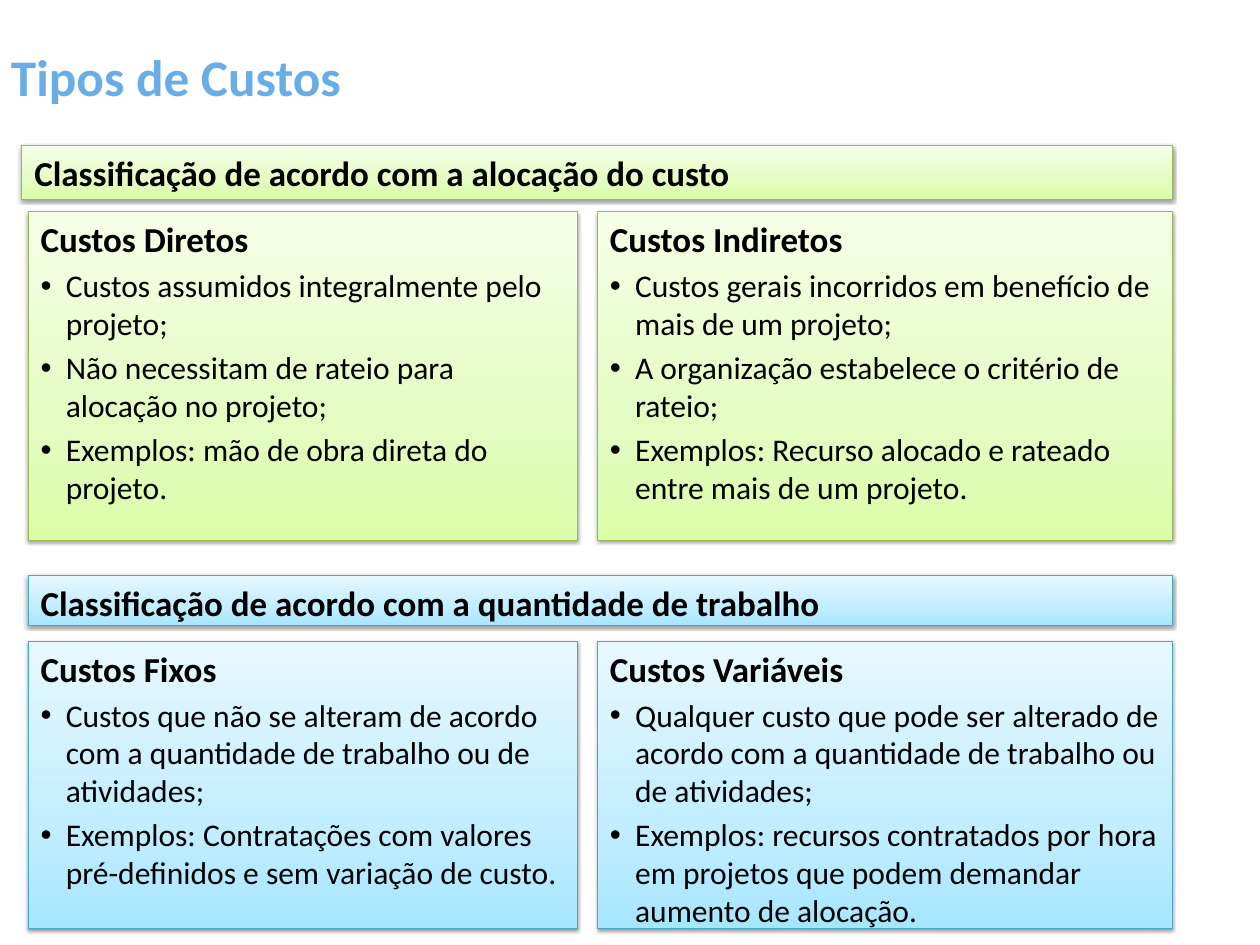
"""Build the slide that classifies project costs."""
from copy import deepcopy
from dataclasses import dataclass

from lxml import etree
from pptx import Presentation
from pptx.dml.color import RGBColor
from pptx.enum.shapes import MSO_SHAPE
from pptx.enum.text import MSO_ANCHOR, MSO_AUTO_SIZE, PP_ALIGN
from pptx.oxml.ns import qn
from pptx.util import Pt

RECTANGLE = MSO_SHAPE.RECTANGLE
TOP, MIDDLE = MSO_ANCHOR.TOP, MSO_ANCHOR.MIDDLE
NO_AUTOFIT = MSO_AUTO_SIZE.NONE
LEFT = PP_ALIGN.LEFT


@dataclass(frozen=True)
class Palette:
    """Gradient stops from bottom to top, and the border colour."""
    stops: tuple
    border: str


@dataclass(frozen=True)
class Theme:
    """Colours, font and type sizes of the slide."""
    green: Palette = Palette(("DAFDA7", "E4FCC2", "F5FFE7"), "98B955")
    blue: Palette = Palette(("A7E6FF", "C1EDFF", "E7F8FF"), "46AAC5")
    title: str = "69ADE7"
    text: str = "000000"
    font: str = "Calibri"
    title_size: int = 44
    heading_size: int = 30
    item_size: int = 27


THEME = Theme()
STOP_POSITIONS = (0, 0.35, 1)
RIGHT_EDGE = 1005
COLUMNS = ((24, 471), (512, RIGHT_EDGE - 512))
BULLET_INDENT = 21.6

SECTIONS = (
    {
        "heading": "Classificação de acordo com a alocação do custo",
        "palette": THEME.green,
        "heading_box": (18.7, 124.6, RIGHT_EDGE - 18.7, 46),
        "card_top": 181.4,
        "card_height": 281.5,
        "cards": (
            ("Custos Diretos", (
                "Custos assumidos integralmente pelo projeto;",
                "Não necessitam de rateio para alocação no projeto;",
                "Exemplos: mão de obra direta do projeto.")),
            ("Custos Indiretos", (
                "Custos gerais incorridos em benefício de mais de um projeto;",
                "A organização estabelece o critério de rateio;",
                "Exemplos: Recurso alocado e rateado entre mais de um projeto.")),
        ),
    },
    {
        "heading": "Classificação de acordo com a quantidade de trabalho",
        "palette": THEME.blue,
        "heading_box": (24, 493.2, RIGHT_EDGE - 24, 42.5),
        "card_top": 549.4,
        "card_height": 246.2,
        "cards": (
            ("Custos Fixos", (
                "Custos que não se alteram de acordo com a quantidade de trabalho ou de atividades;",
                "Exemplos: Contratações com valores pré-definidos e sem variação de custo.")),
            ("Custos Variáveis", (
                "Qualquer custo que pode ser alterado de acordo com a quantidade de trabalho ou de atividades;",
                "Exemplos: recursos contratados por hora em projetos que podem demandar aumento de alocação.")),
        ),
    },
)


def place(element, box):
    """Move and size an element to a box given in points."""
    element.left, element.top, element.width, element.height = map(Pt, box)


def style_paragraph(paragraph, size, color, bold):
    """Format the runs of a left-aligned paragraph."""
    paragraph.alignment = LEFT
    for run in paragraph.runs:
        run.font.name = THEME.font
        run.font.size = Pt(size)
        run.font.bold = bold
        run.font.color.rgb = RGBColor.from_string(color)


def set_bullet(paragraph, bulleted):
    """Give a paragraph a hanging bullet, or clear the inherited one."""
    properties = paragraph._p.get_or_add_pPr()
    indent = Pt(BULLET_INDENT) if bulleted else 0
    properties.set("marL", str(indent))
    properties.set("indent", str(-indent))
    if bulleted:
        etree.SubElement(properties, qn("a:buFont"), typeface="Arial")
        etree.SubElement(properties, qn("a:buChar"), char="•")
    else:
        etree.SubElement(properties, qn("a:buNone"))


def add_shadow(panel):
    """Cast a soft shadow straight down."""
    panel.shadow.inherit = False
    effects = panel._element.spPr.find(qn("a:effectLst"))
    shadow = etree.SubElement(
        effects, qn("a:outerShdw"), blurRad=str(Pt(3.1)), dist=str(Pt(1.6)),
        dir="5400000", rotWithShape="0")
    color = etree.SubElement(shadow, qn("a:srgbClr"), val="000000")
    etree.SubElement(color, qn("a:alpha"), val="38000")


def paint_panel(panel, palette):
    """Apply the vertical gradient, border and shadow."""
    panel.fill.gradient()
    panel.fill.gradient_angle = 90
    stop_list = panel._element.spPr.find(qn("a:gradFill")).find(qn("a:gsLst"))
    stop_list.append(deepcopy(stop_list[-1]))
    for stop, position, color in zip(
            panel.fill.gradient_stops, STOP_POSITIONS, palette.stops):
        stop.position = position
        stop.color.rgb = RGBColor.from_string(color)
    panel.line.color.rgb = RGBColor.from_string(palette.border)
    panel.line.width = Pt(0.75)
    add_shadow(panel)


def fill_panel(panel, box, palette, heading, items=()):
    """Place and paint a panel, then write its heading and bulleted items."""
    place(panel, box)
    paint_panel(panel, palette)
    frame = panel.text_frame
    frame.text = "\n".join((heading, *items))
    frame.word_wrap = True
    frame.auto_size = NO_AUTOFIT
    frame.vertical_anchor = TOP
    frame.margin_left = frame.margin_right = Pt(10.8)
    frame.margin_top = frame.margin_bottom = Pt(5.4)
    for index, paragraph in enumerate(frame.paragraphs):
        is_item = index > 0
        size = THEME.item_size if is_item else THEME.heading_size
        set_bullet(paragraph, is_item)
        paragraph.space_before = Pt(0.2 * size if is_item else 0)
        style_paragraph(paragraph, size, THEME.text, not is_item)


def write_title(title, text):
    """Write the slide title."""
    place(title, (2.2, 39.6, 512.6, 51.8))
    frame = title.text_frame
    frame.text = text
    frame.word_wrap = True
    frame.auto_size = NO_AUTOFIT
    frame.vertical_anchor = MIDDLE
    style_paragraph(frame.paragraphs[0], THEME.title_size, THEME.title, True)


def add_section(slide, section, bodies):
    """Add a heading bar and the two cards below it."""
    bar = slide.shapes.add_shape(RECTANGLE, 0, 0, 0, 0)
    fill_panel(bar, section["heading_box"], section["palette"], section["heading"])
    for body, (left, width), (heading, items) in zip(bodies, COLUMNS, section["cards"]):
        box = (left, section["card_top"], width, section["card_height"])
        fill_panel(body, box, section["palette"], heading, items)


def main():
    """Build and save the presentation."""
    presentation = Presentation()
    presentation.slide_width, presentation.slide_height = Pt(1080), Pt(810)
    comparison_layout = presentation.slide_layouts[4]
    slide = presentation.slides.add_slide(comparison_layout)
    title, *bodies = slide.placeholders
    write_title(title, "Tipos de Custos")
    for index, section in enumerate(SECTIONS):
        add_section(slide, section, bodies[2 * index:2 * index + 2])
    presentation.save("out.pptx")


if __name__ == "__main__":
    main()
